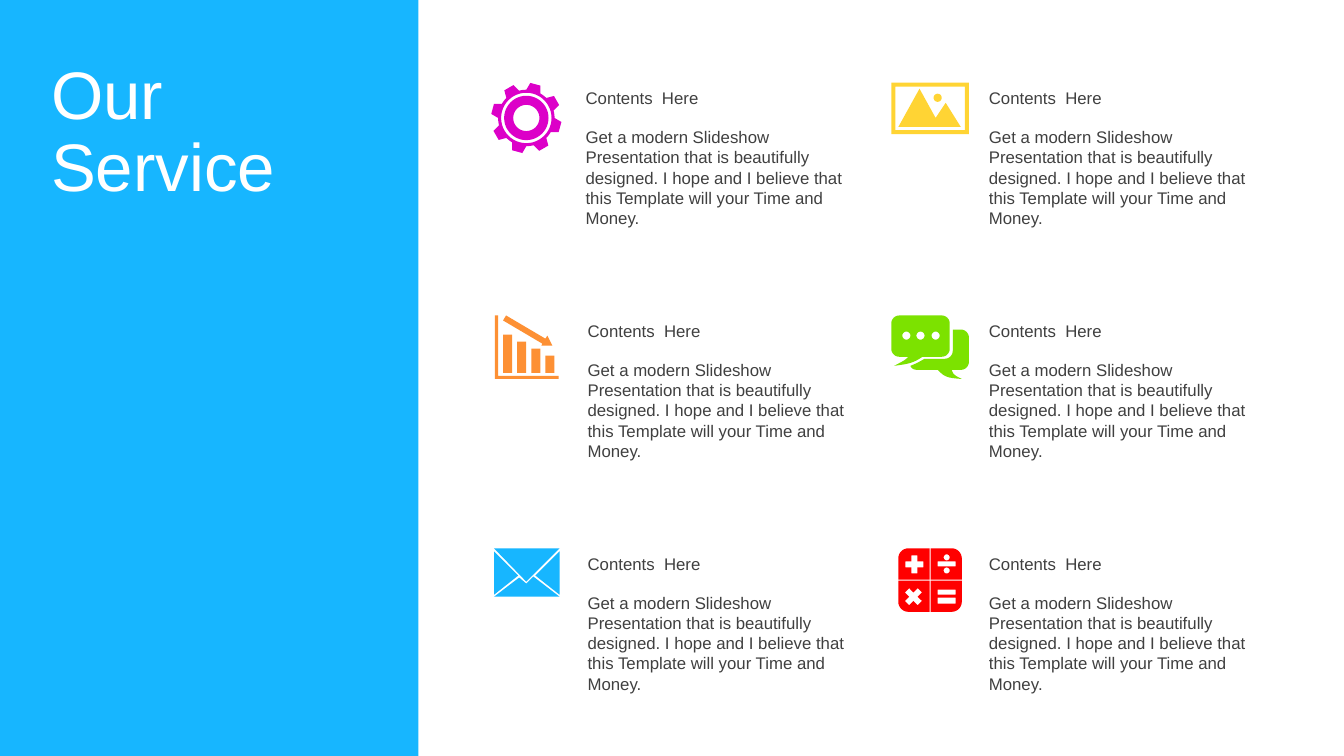
from math import cos, pi, sin

from pptx import Presentation
from pptx.dml.color import RGBColor
from pptx.enum.shapes import MSO_SHAPE
from pptx.enum.text import MSO_ANCHOR, MSO_AUTO_SIZE
from pptx.util import Inches, Pt

RECTANGLE = MSO_SHAPE.RECTANGLE
MIDDLE = MSO_ANCHOR.MIDDLE
GROW = MSO_AUTO_SIZE.SHAPE_TO_FIT_TEXT

# Content
TITLE = "Our\vService"
HEADING = "Contents  Here"
BODY = ("Get a modern Slideshow Presentation that is beautifully designed. "
        "I hope and I believe that this Template will your Time and Money.")
# icon, column, row, text left
SERVICES = [
    ("gear", 0, 0, 5.71),
    ("photo", 1, 0, 9.71),
    ("chart", 0, 1, 5.73),
    ("chat", 1, 1, 9.71),
    ("mail", 0, 2, 5.73),
    ("calculator", 1, 2, 9.71),
]
THEME = {
    "font": "Arial", "title_size": 48, "text_size": 12,
    "panel": "17B6FF", "title": "FFFFFF", "text": "404040",
    "gear": "DC00C8", "photo": "FFD434", "chart": "FD9034",
    "chat": "7CE200", "mail": "17B6FF", "calculator": "FF0000",
}

# Layout
ICON_X, COLUMN_STEP = 5.22, 4
TOP, ROW_STEP = 0.82, 2.31
BODY_OFFSET, TEXT_W = 0.39, 2.86


# Outline helpers: points in inches, x from the icon's centre, y from its top
def arc(cx, cy, radius, start, end, steps=8):
    angles = [(start + (end - start) * i / steps) * pi / 180
              for i in range(steps + 1)]
    return [(cx + radius * cos(a), cy + radius * sin(a)) for a in angles]


def circle(cx, cy, radius):
    return arc(cx, cy, radius, 0, 360, 48)


def curve(p0, p1, p2, p3, steps=8):
    points = []
    for i in range(steps + 1):
        t = i / steps
        weights = ((1 - t) ** 3, 3 * t * (1 - t) ** 2, 3 * t * t * (1 - t), t ** 3)
        points.append(tuple(sum(w * p[k] for w, p in zip(weights, (p0, p1, p2, p3)))
                            for k in (0, 1)))
    return points


def box(left, top, right, bottom):
    return [(left, top), (right, top), (right, bottom), (left, bottom)]


def rounded_key(left, top, right, bottom, corner, radius=0.1):
    """Box with one rounded corner: 0 top left, then clockwise."""
    points = box(left, top, right, bottom)
    x, y = points[corner]
    cx = x + radius if x == left else x - radius
    cy = y + radius if y == top else y - radius
    start = 180 + 90 * corner
    points[corner:corner + 1] = arc(cx, cy, radius, start, start + 90)
    return points


def cross(cx, cy, turn, arm=0.09, half=0.03):
    points = []
    for quarter in range(4):
        a = (turn + 90 * quarter) * pi / 180
        for x, y in ((arm, -half), (arm, half), (half, half)):
            points.append((cx + x * cos(a) - y * sin(a), cy + x * sin(a) + y * cos(a)))
    return points


def gear_rim(cx, cy, root=0.28, tip=0.35, teeth=8):
    points = []
    for i in range(teeth):
        a = -90 + 360 / teeth * i
        points += arc(cx, cy, tip, a + 6.5, a + 23.5, 1)
        points += arc(cx, cy, root, a + 30, a + 45, 4)
    return points


# Icons as lists of closed outlines; an outline inside another cuts a hole
ICONS = {
    "gear": [gear_rim(0, 0.35)] + [circle(0, 0.35, r) for r in (0.25, 0.22, 0.13)],
    "photo": [
        box(-0.38, 0, 0.39, 0.51), box(-0.34, 0.04, 0.35, 0.47),
        circle(0.08, 0.15, 0.04),
        [(-0.1, 0.06), (0.06, 0.35), (0.16, 0.2), (0.31, 0.44), (-0.31, 0.44)],
    ],
    "chart": [
        [(-0.31, 0), (-0.28, 0), (-0.28, 0.6), (0.32, 0.6), (0.32, 0.63), (-0.31, 0.63)],
        [(-0.2, 0), (0.19, 0.23), (0.21, 0.2), (0.26, 0.3), (0.15, 0.3),
         (0.16, 0.28), (-0.23, 0.05)],
    ] + [box(-0.23 + 0.14 * i, 0.19 + 0.07 * i, -0.14 + 0.14 * i, 0.57)
         for i in range(4)],
    "chat": [
        # front bubble
        arc(-0.3, 0.08, 0.08, 180, 270) + arc(0.12, 0.08, 0.08, 270, 360)
        + arc(0.12, 0.33, 0.08, 0, 90)
        + curve((-0.07, 0.41), (-0.16, 0.47), (-0.2, 0.48), (-0.35, 0.5))
        + curve((-0.35, 0.5), (-0.26, 0.45), (-0.25, 0.45), (-0.21, 0.41))
        + arc(-0.3, 0.33, 0.08, 90, 180),
        # back bubble
        [(0.23, 0.14)] + arc(0.31, 0.22, 0.08, 270, 360) + arc(0.31, 0.46, 0.08, 0, 90)
        + curve((0.22, 0.54), (0.23, 0.57), (0.23, 0.59), (0.32, 0.63))
        + curve((0.32, 0.63), (0.17, 0.62), (0.15, 0.61), (0.08, 0.54))
        + curve((-0.12, 0.54), (-0.15, 0.54), (-0.18, 0.53), (-0.19, 0.5))
        + curve((-0.19, 0.5), (-0.14, 0.48), (-0.1, 0.46), (-0.05, 0.43))
        + arc(0.15, 0.35, 0.08, 90, 0),
    ] + [circle(x, 0.2, 0.04) for x in (-0.23, -0.09, 0.06)],
    "mail": [
        [(-0.32, 0), (0.33, 0), (0, 0.33)],
        [(-0.32, 0.03), (-0.08, 0.27), (-0.32, 0.46)],
        [(0.33, 0.03), (0.33, 0.46), (0.09, 0.27)],
        [(0.07, 0.28), (0.33, 0.48), (-0.32, 0.48), (-0.07, 0.29), (0, 0.35)],
    ],
    "calculator": [
        rounded_key(-0.31, 0, 0, 0.31, 0), rounded_key(0.01, 0, 0.32, 0.31, 1),
        rounded_key(0.01, 0.32, 0.32, 0.63, 2), rounded_key(-0.31, 0.32, 0, 0.63, 3),
        cross(-0.15, 0.16, 0), cross(-0.16, 0.48, 45),
        box(0.08, 0.13, 0.26, 0.18), circle(0.17, 0.09, 0.03), circle(0.17, 0.22, 0.03),
        box(0.08, 0.41, 0.26, 0.46), box(0.08, 0.49, 0.26, 0.55),
    ],
}


# Drawing helpers
def paint(sp, color):
    sp.shadow.inherit = False
    sp.fill.solid()
    sp.fill.fore_color.rgb = RGBColor.from_string(THEME[color])
    sp.line.fill.background()


def add_text(shapes, text, left, top, width, height, role):
    tf = shapes.add_textbox(*map(Inches, (left, top, width, height))).text_frame
    tf.word_wrap = True
    tf.text = text
    p = tf.paragraphs[0]
    p.font.name = THEME["font"]
    p.font.size = Pt(THEME[role + "_size"])
    p.font.color.rgb = RGBColor.from_string(THEME[role])
    return tf


def add_icon(shapes, name, x, y):
    outlines = [[(Inches(x + dx), Inches(y + dy)) for dx, dy in outline]
                for outline in ICONS[name]]
    builder = shapes.build_freeform(*outlines[0][0])
    for i, outline in enumerate(outlines):
        if i:
            builder.move_to(*outline[0])
        builder.add_line_segments(outline[1:], close=True)
    paint(builder.convert_to_shape(), name)


prs = Presentation()
prs.slide_width, prs.slide_height = Inches(13.33), Inches(7.5)
s = prs.slides.add_slide(prs.slide_layouts[6])

# Title panel
panel = s.shapes.add_shape(RECTANGLE, 0, 0, Inches(4.15), prs.slide_height)
paint(panel, "panel")
tf = add_text(s.shapes, TITLE, 0.41, 0.54, 3.4, 1.57, "title")
tf.vertical_anchor = MIDDLE
tf.paragraphs[0].line_spacing = 0.9

# Services
for icon, column, row, text_left in SERVICES:
    top = TOP + ROW_STEP * row
    group = s.shapes.add_group_shape()
    for text, y, height in ((BODY, top + BODY_OFFSET, 1.11), (HEADING, top, 0.3)):
        tf = add_text(group.shapes, text, text_left, y, TEXT_W, height, "text")
        tf.auto_size = GROW
    add_icon(s.shapes, icon, ICON_X + COLUMN_STEP * column, top)

prs.save("out.pptx")
